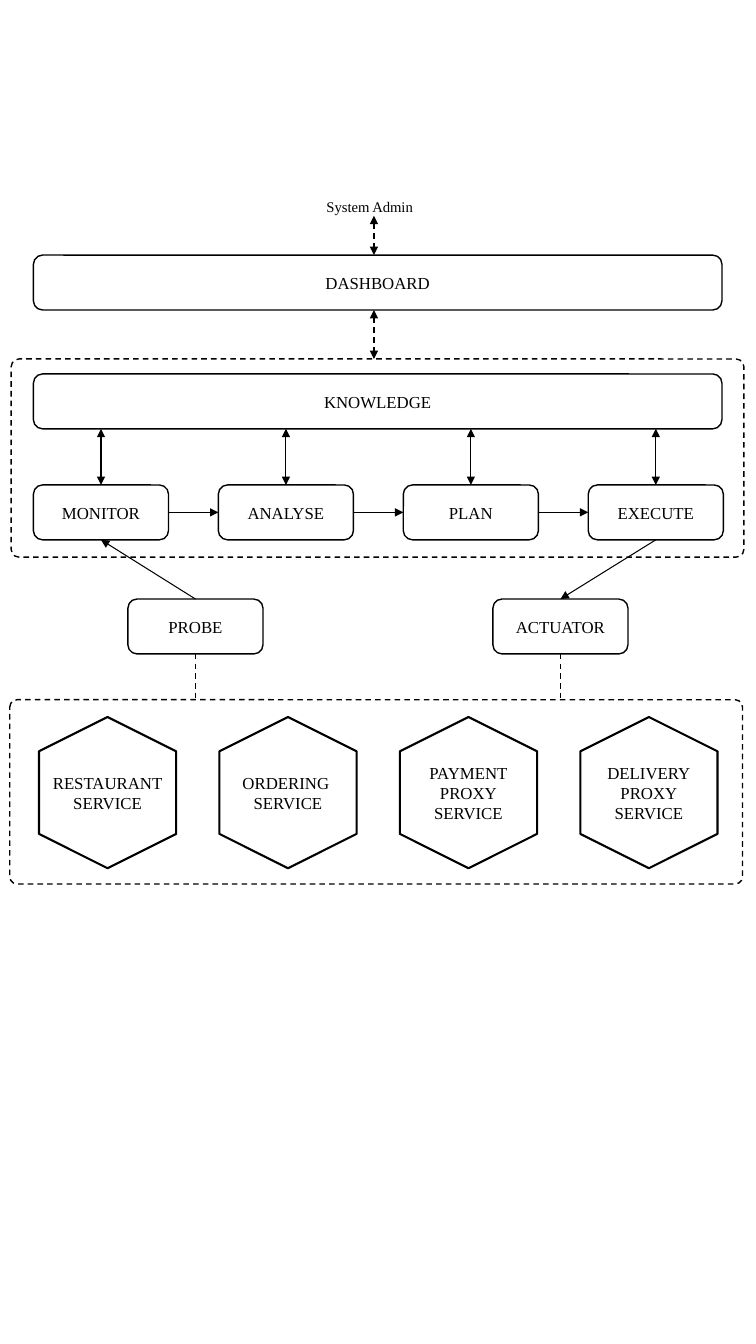
from dataclasses import dataclass
from lxml.etree import SubElement
from pptx import Presentation
from pptx.dml.color import RGBColor as Color
from pptx.enum.dml import MSO_LINE as Dash
from pptx.enum.shapes import MSO_CONNECTOR as Link, MSO_SHAPE as Kind
from pptx.enum.text import MSO_ANCHOR as Anchor, MSO_AUTO_SIZE as Fit, PP_ALIGN as Align
from pptx.oxml.ns import qn
from pptx.util import Pt


@dataclass(frozen=True)
class Theme:
    """Hold the colours, type and line widths."""
    ink: Color = Color(0, 0, 0)
    paper: Color = Color(255, 255, 255)
    font: str = "Times New Roman"
    body: float = 12
    small: float = 10.5
    thin: float = 0.75
    line: float = 1
    bold: float = 1.5


LOOK = Theme()
HIGH = 39.2
WIDE = 96.5
LEFT = 23.9
STEP = 132.1
FULL = 491.8
MID = 267.1


def write(shape, lines, size=LOOK.body, align=Align.CENTER):
    """Fill a shape with one paragraph per line of text."""
    frame = shape.text_frame
    frame.text = "\n".join(lines)
    frame.vertical_anchor = Anchor.MIDDLE
    for para in frame.paragraphs:
        para.alignment = align
        para.font.name = LOOK.font
        para.font.size = Pt(size)
        para.font.color.rgb = LOOK.ink
    return frame


def form(slide, kind, area, width, fill=True):
    """Add an outlined preset shape."""
    shape = slide.shapes.add_shape(kind, *map(Pt, area))
    shape.shadow.inherit = False
    if fill:
        shape.fill.solid()
        shape.fill.fore_color.rgb = LOOK.paper
    else:
        shape.fill.background()
    shape.line.color.rgb = LOOK.ink
    shape.line.width = Pt(width)
    return shape


def box(slide, text, left, top, width=WIDE):
    """Add a rounded box with a centred label."""
    shape = form(slide, Kind.ROUNDED_RECTANGLE, (left, top, width, HIGH), LOOK.line)
    write(shape, [text]).word_wrap = True


def zone(slide, left, top, height):
    """Add a dashed frame around a group."""
    shape = form(slide, Kind.ROUNDED_RECTANGLE, (left, top, 523.4, height), LOOK.line, False)
    shape.adjustments[0] = 0.04
    shape.line.dash_style = Dash.DASH


def link(slide, start, end, head=False, tail=False, dash=False):
    """Add a straight line with optional arrowheads."""
    line = slide.shapes.add_connector(Link.STRAIGHT, *map(Pt, (*start, *end)))
    line.line.color.rgb = LOOK.ink
    line.line.width = Pt(LOOK.line if dash else LOOK.thin)
    if dash:
        line.line.dash_style = Dash.DASH
    stroke = line.line._get_or_add_ln()
    for tag, shown in (("a:headEnd", head), ("a:tailEnd", tail)):
        if shown:
            SubElement(stroke, qn(tag), type="triangle")
    SubElement(line._element.spPr, qn("a:effectLst"))


def service(slide, lines, x, y):
    """Add an upright hexagon and its label around a centre."""
    shape = form(slide, Kind.HEXAGON, (x - 54, y - 49, 108, 98), LOOK.bold)
    shape.rotation = 90
    label = slide.shapes.add_textbox(Pt(x - 67), Pt(y - 24), Pt(134), Pt(48))
    write(label, lines).word_wrap = True


def admin(slide):
    """Add the user above the dashboard."""
    label = slide.shapes.add_textbox(Pt(226.1), Pt(136.8), Pt(82.8), Pt(20.9))
    frame = write(label, ["System Admin"], LOOK.small, Align.LEFT)
    frame.word_wrap = False
    frame.auto_size = Fit.SHAPE_TO_FIT_TEXT
    link(slide, (MID, 154.1), (MID, 182.2), True, True, True)


def loop(slide, top, row):
    """Add the knowledge box and the four stages under it."""
    zone(slide, 8, 256.4, 141.6)
    box(slide, "KNOWLEDGE", LEFT, top, FULL)
    for i, name in enumerate(("MONITOR", "ANALYSE", "PLAN", "EXECUTE")):
        left = LEFT + i * STEP
        x = left + WIDE / 2
        box(slide, name, left, row)
        link(slide, (x, top + HIGH), (x, row), True, True)
        if i:
            y = row + HIGH / 2
            link(slide, (left - STEP + WIDE, y), (left, y), tail=True)


def bridge(slide, name, left, stage, row, head):
    """Add a box that joins a stage to the services."""
    top = 427.9
    x = left + WIDE / 2
    end = LEFT + stage * STEP + WIDE / 2
    box(slide, name, left, top)
    link(slide, (end, row + HIGH), (x, top), head, not head)
    link(slide, (x, top + HIGH), (x, 499.8), dash=True)


def main():
    """Build the slide and save it."""
    deck = Presentation()
    deck.slide_width, deck.slide_height = Pt(540), Pt(960)
    slide = deck.slides.add_slide(deck.slide_layouts[6])
    row = 346.4
    admin(slide)
    box(slide, "DASHBOARD", LEFT, 182.2, FULL)
    link(slide, (MID, 221.4), (MID, 256.4), True, True, True)
    loop(slide, 267.1, row)
    bridge(slide, "PROBE", 91.4, 0, row, True)
    bridge(slide, "ACTUATOR", 352.1, 3, row, False)
    zone(slide, 7, 499.8, 131.6)
    names = (["RESTAURANT SERVICE"], ["ORDERING ", "SERVICE"],
             ["PAYMENT", "PROXY", "SERVICE"], ["DELIVERY", "PROXY", "SERVICE"])
    for i, lines in enumerate(names):
        service(slide, lines, 76.8 + i * 128.9, 566.2)
    deck.save("out.pptx")


main()
